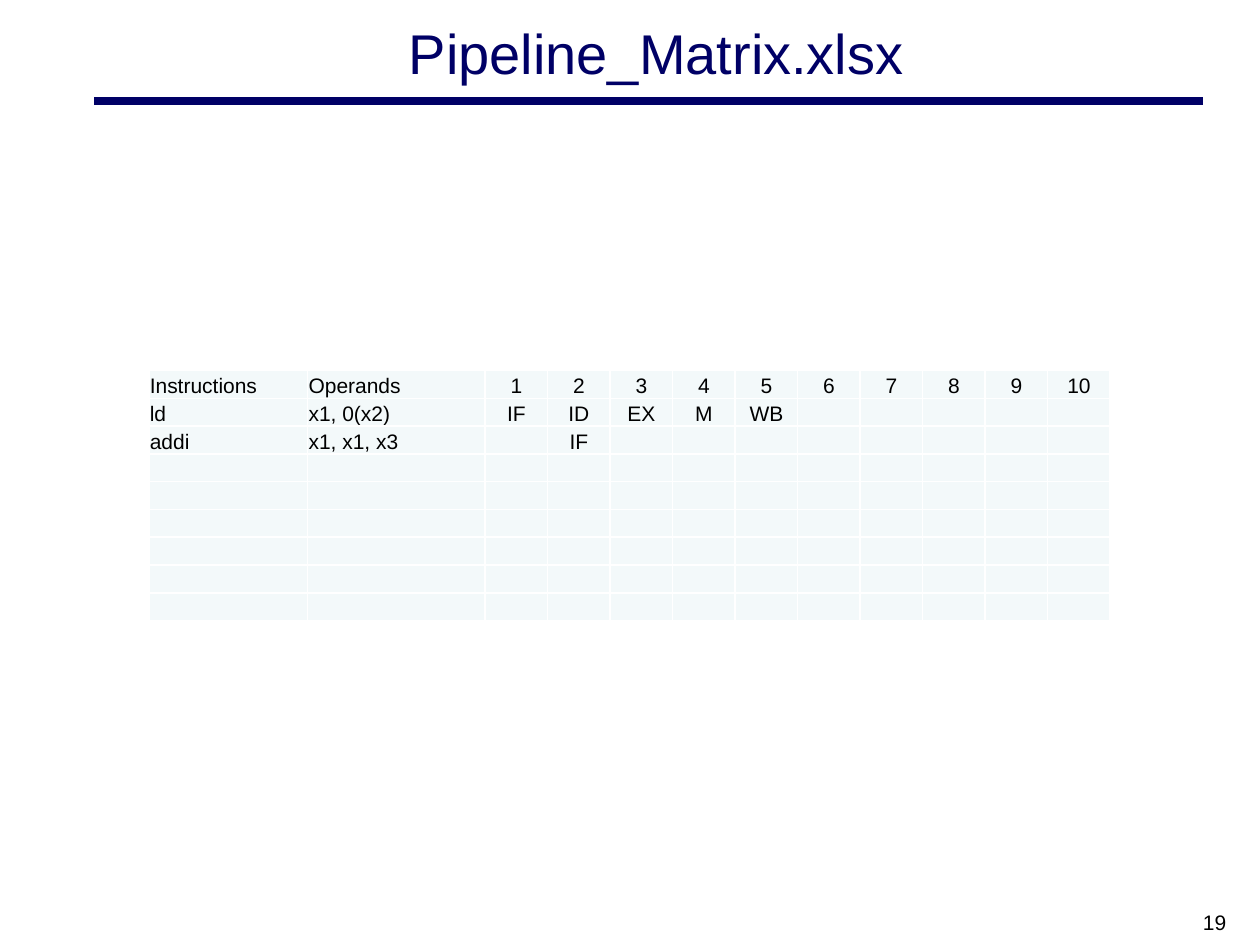
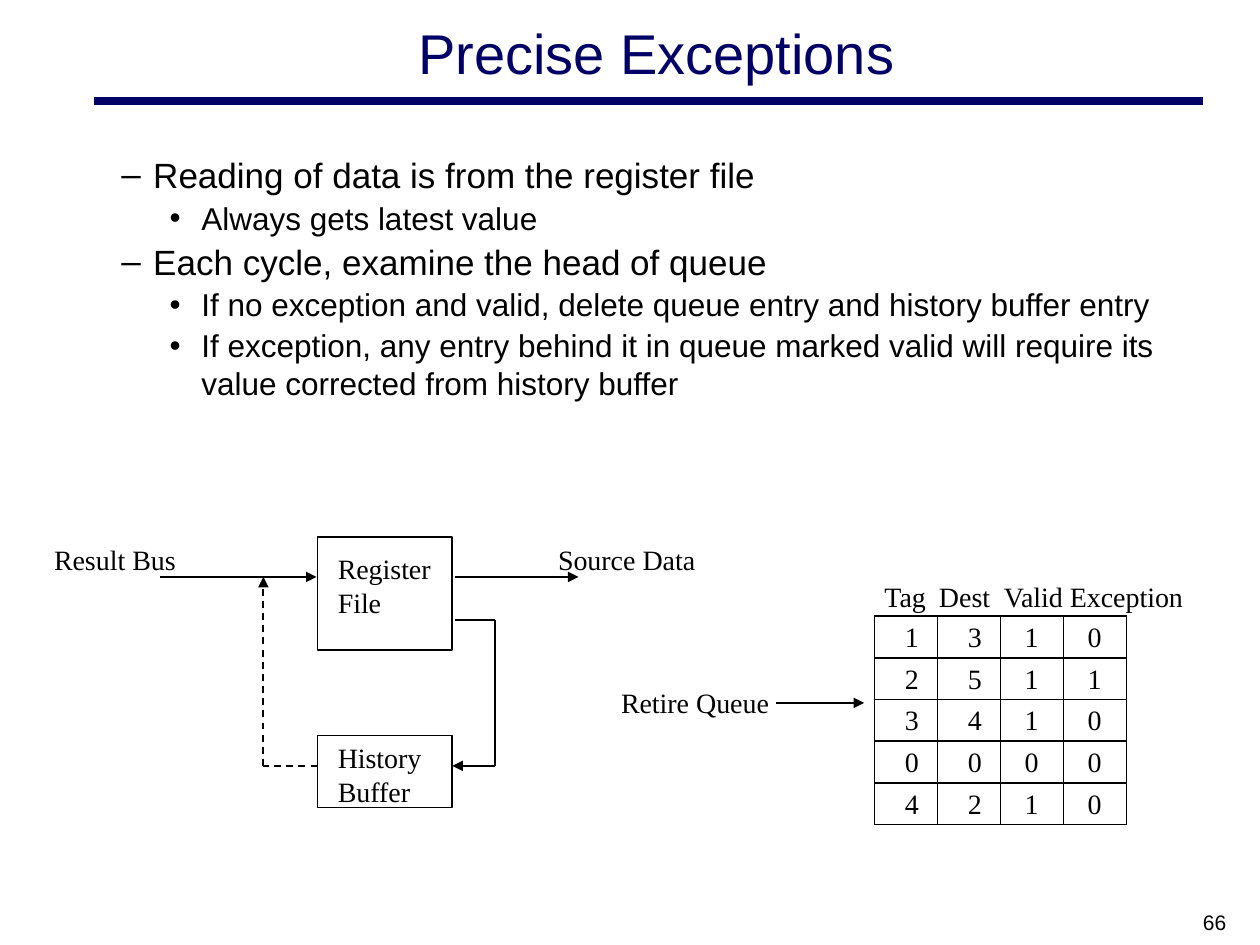
from lxml import etree
from pptx import Presentation
from pptx.dml.color import RGBColor
from pptx.enum.dml import MSO_LINE
from pptx.enum.shapes import MSO_CONNECTOR, MSO_SHAPE
from pptx.enum.text import MSO_ANCHOR, PP_ALIGN
from pptx.oxml.ns import qn
from pptx.util import Cm, Pt

LEFT, CENTER, RIGHT = PP_ALIGN.LEFT, PP_ALIGN.CENTER, PP_ALIGN.RIGHT
TOP, MIDDLE, BOTTOM = MSO_ANCHOR.TOP, MSO_ANCHOR.MIDDLE, MSO_ANCHOR.BOTTOM
STRAIGHT, RECT, DASH = MSO_CONNECTOR.STRAIGHT, MSO_SHAPE.RECTANGLE, MSO_LINE.DASH
SANS, SERIF = "Arial", "Times New Roman"
COLORS = {"navy": "000066", "black": "000000", "white": "FFFFFF", "cell": "F3F9FA"}
INSETS = (0.25, 0.13, 0.25, 0.13)


def text(tf, lines, size=16, font=SERIF, color="black", align=LEFT, anchor=TOP,
         insets=INSETS, wrap=True):
    tf.word_wrap = wrap
    tf.vertical_anchor = anchor
    tf.margin_left, tf.margin_top, tf.margin_right, tf.margin_bottom = map(Cm, insets)
    for i, line in enumerate(lines):
        p = tf.paragraphs[0] if i == 0 else tf.add_paragraph()
        p.alignment = align
        r = p.add_run()
        r.text = line
        r.font.size, r.font.name = Pt(size), font
        r.font.color.rgb = RGBColor.from_string(COLORS[color])


def line(s, x1, y1, x2, y2, color="black", width=1, arrow=False, dash=False):
    c = s.shapes.add_connector(STRAIGHT, Cm(x1), Cm(y1), Cm(x2), Cm(y2))
    c.line.color.rgb = RGBColor.from_string(COLORS[color])
    c.line.width = Pt(width)
    if dash:
        c.line.dash_style = DASH
    if arrow:
        etree.SubElement(c.line._get_or_add_ln(), qn("a:tailEnd"), type="triangle")
    etree.SubElement(c._element.spPr, qn("a:effectLst"))


prs = Presentation()
prs.slide_width, prs.slide_height = Cm(25.4), Cm(19.05)

# Title, rule and number on every slide
slides = []
for title, number in [("Pipeline_Matrix.xlsx", "19"), ("Precise Exceptions", "66")]:
    s = prs.slides.add_slide(prs.slide_layouts[6])
    slides.append(s)
    line(s, 1.9, 2.03, 24.26, 2.03, color="navy", width=4.5)
    box = s.shapes.add_textbox(Cm(2.34), Cm(0.2), Cm(21.79), Cm(1.7))
    text(box.text_frame, [title], size=32, font=SANS, color="navy", align=CENTER, anchor=MIDDLE)
    box = s.shapes.add_textbox(Cm(19.05), Cm(18.21), Cm(5.92), Cm(0.64))
    text(box.text_frame, [number], size=12, font=SANS, align=RIGHT)
matrix_slide, exceptions_slide = slides

# Tables: pipeline matrix and retire queue
matrix_rows = [
    ["Instructions", "Operands"] + [str(cycle) for cycle in range(1, 11)],
    ["ld", "x1, 0(x2)", "IF", "ID", "EX", "M", "WB"],
    ["addi", "x1, x1, x3", "", "IF"],
] + [[]] * 6
queue_rows = ["1310", "2511", "3410", "0000", "4210"]
tables = [
    dict(slide=matrix_slide, x=3, y=7.47, widths=[3.2, 3.58] + [1.26] * 10, height=0.56,
         rows=matrix_rows, fill="cell", border="white", aligns=[LEFT] * 2 + [CENTER] * 10,
         lefts=[0.02] * 12, top=0.02, size=12, font=SANS, anchor=BOTTOM),
    dict(slide=exceptions_slide, x=17.63, y=12.42, widths=[1.27] * 4, height=0.84,
         rows=queue_rows, fill=None, border="black", aligns=[CENTER] * 4,
         lefts=[0.25, 0.25, 0, 0], top=0.13, size=16, font=SERIF, anchor=TOP),
]
for t in tables:
    widths, rows = t["widths"], t["rows"]
    frame = t["slide"].shapes.add_table(len(rows), len(widths), Cm(t["x"]), Cm(t["y"]),
                                        Cm(sum(widths)), Cm(t["height"] * len(rows)))
    table = frame.table
    table.first_row = table.horz_banding = False
    for col, width in zip(table.columns, widths):
        col.width = Cm(width)
    for i, values in enumerate(rows):
        table.rows[i].height = Cm(t["height"])
        for j in range(len(widths)):
            cell = table.cell(i, j)
            insets = (t["lefts"][j], t["top"], 0.02, 0)
            cell.vertical_anchor = t["anchor"]
            cell.margin_left, cell.margin_top, cell.margin_right, cell.margin_bottom = map(Cm, insets)
            p = cell.text_frame.paragraphs[0]
            p.alignment = t["aligns"][j]
            if j < len(values) and values[j]:
                r = p.add_run()
                r.text = values[j]
                r.font.size, r.font.name = Pt(t["size"]), t["font"]
                r.font.color.rgb = RGBColor.from_string(COLORS["black"])
            else:
                etree.SubElement(p._p, qn("a:endParaRPr"), sz=str(t["size"] * 100))
            tcPr = cell._tc.get_or_add_tcPr()
            for side in ("lnL", "lnR", "lnT", "lnB"):
                ln = etree.SubElement(tcPr, qn("a:" + side), w=str(Pt(1)))
                fill = etree.SubElement(ln, qn("a:solidFill"))
                etree.SubElement(fill, qn("a:srgbClr"), val=COLORS[t["border"]])
            if t["fill"]:
                cell.fill.solid()
                cell.fill.fore_color.rgb = RGBColor.from_string(COLORS[t["fill"]])
            else:
                cell.fill.background()

# Bullets
s = exceptions_slide
bullets = [
    (1, "Reading of data is from the register file"),
    (2, "Always gets latest value"),
    (1, "Each cycle, examine the head of queue"),
    (2, "If no exception and valid, delete queue entry and history buffer entry"),
    (2, "If exception, any entry behind it in queue marked valid will require its "
        "value corrected from history buffer"),
]
levels = {1: ("–", 20, 1.57), 2: ("•", 18, 2.54)}
tf = s.shapes.add_textbox(Cm(1.27), Cm(2.97), Cm(22.86), Cm(14.05)).text_frame
text(tf, [words for level, words in bullets], font=SANS)
for i, (p, (level, words)) in enumerate(zip(tf.paragraphs, bullets)):
    mark, size, indent = levels[level]
    p.level = level
    p.runs[0].font.size = Pt(size)
    if i:
        p.space_before = Pt(size / 10)
    pPr = p._p.get_or_add_pPr()
    pPr.set("marL", str(Cm(indent)))
    pPr.set("indent", str(Cm(-0.64)))
    etree.SubElement(pPr, qn("a:buFont"), typeface=SANS)
    etree.SubElement(pPr, qn("a:buChar"), char=mark)

# Register file and history buffer
for y, height, top, words in [(10.82, 2.29, 0.3, ["Register", "File"]),
                              (14.83, 1.45, 0.1, ["History", "Buffer"])]:
    sp = s.shapes.add_shape(RECT, Cm(6.4), Cm(y), Cm(2.72), Cm(height))
    sp.shadow.inherit = False
    sp.fill.background()
    sp.line.color.rgb = RGBColor.from_string(COLORS["black"])
    sp.line.width = Pt(1)
    text(sp.text_frame, words, insets=(0.41, top, 0, 0))

# Data paths
bus_y, read_y, history_y = 11.63, 12.5, 15.44
read_x, restore_x = 9.98, 5.31
line(s, 3.23, bus_y, 6.38, bus_y, arrow=True)
line(s, 9.17, bus_y, 11.66, bus_y, arrow=True)
line(s, 9.17, read_y, read_x, read_y)
line(s, read_x, read_y, read_x, history_y)
line(s, read_x, history_y, 9.12, history_y, arrow=True)
line(s, 6.4, history_y, restore_x, history_y, dash=True)
line(s, restore_x, history_y, restore_x, bus_y, arrow=True, dash=True)
line(s, 15.65, 14.17, 17.42, 14.17, arrow=True)

# Labels
for x, y, width, words in [(0.84, 10.8, 2.97, "Result Bus"), (11, 10.8, 3.28, "Source Data"),
                           (12.27, 13.69, 3.51, "Retire Queue")]:
    box = s.shapes.add_textbox(Cm(x), Cm(y), Cm(width), Cm(0.91))
    text(box.text_frame, [words], wrap=False)

# Queue headings, set on tab stops
tf = s.shapes.add_textbox(Cm(17.58), Cm(11.56), Cm(6.9), Cm(0.91)).text_frame
text(tf, ["Tag\tDest\tValid Exception"])
tabs = etree.SubElement(tf.paragraphs[0]._p.get_or_add_pPr(), qn("a:tabLst"))
for stop in (1.1, 2.41):
    etree.SubElement(tabs, qn("a:tab"), pos=str(Cm(stop)), algn="l")

prs.save("out.pptx")
